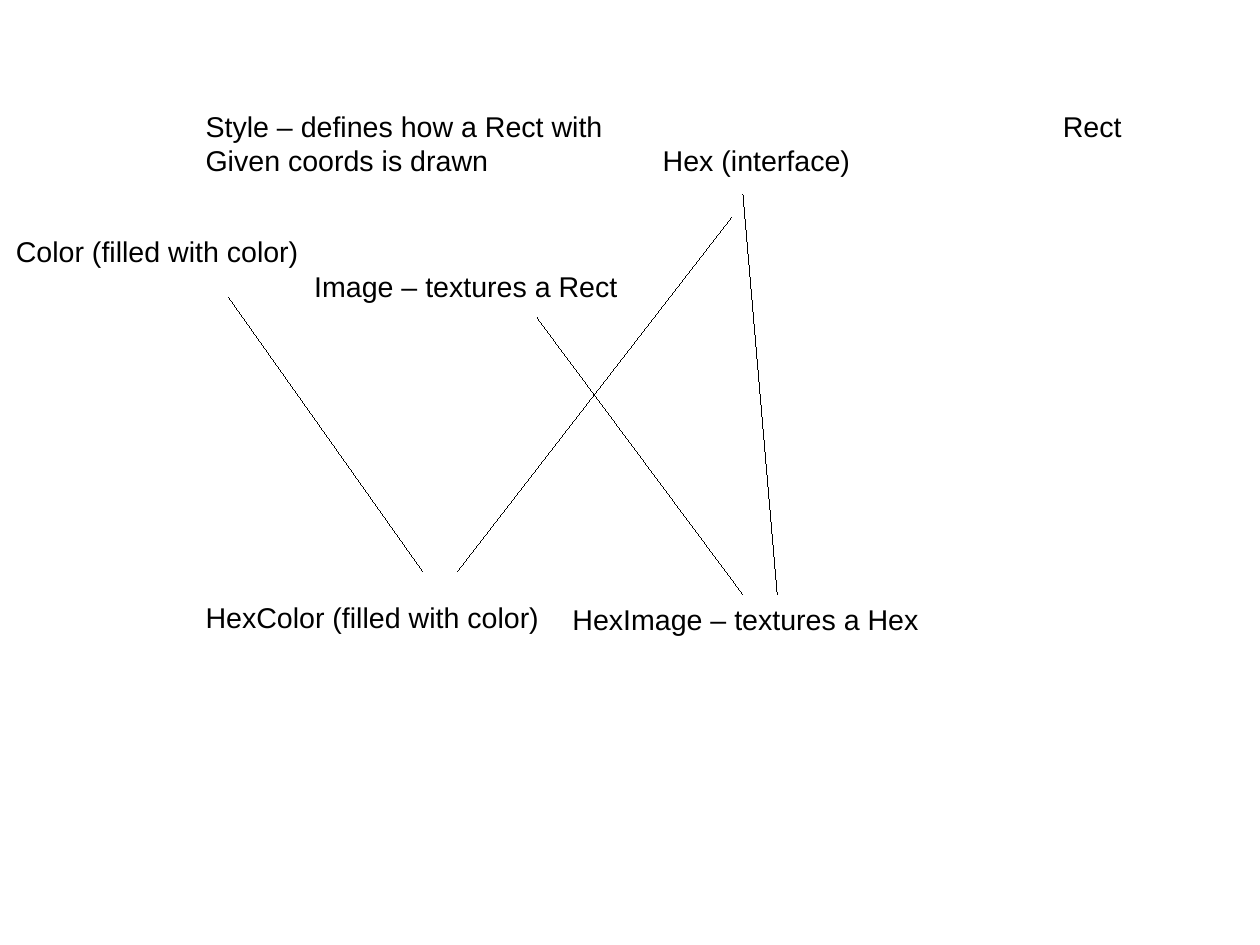
from pptx import Presentation
from pptx.dml.color import RGBColor
from pptx.enum.shapes import MSO_CONNECTOR
from pptx.oxml.ns import qn
from pptx.util import Cm, Inches, Pt
from lxml.etree import SubElement

INK = "000000"
HAIRLINE = Pt(0.01)  # a width of zero would fall back to the theme's line

# Label lines with their box: left, top, width, height
STYLE_LABELS = [
    (["Style – defines how a Rect with", "Given coords is drawn"], (1.7, 0.9, 3.75, 0.66)),
    (["Color (filled with color)"], (0.04, 2, 2.75, 0.38)),
    (["Image – textures a Rect"], (2.65, 2.3, 2.95, 0.48)),
]
SHAPE_LABELS = [
    (["Rect"], (9.2, 0.9, 0.8, 0.38)),
    (["Hex (interface)"], (5.7, 1.2, 1.9, 0.38)),
]
HEX_STYLE_LABELS = [
    (["HexColor (filled with color)"], (1.7, 5.2, 3.2, 0.38)),
    (["HexImage – textures a Hex"], (4.91, 5.22, 3.3, 0.48)),
]

# Inheritance lines: start and end points
INHERITANCE = [
    ((6.5, 1.7), (6.8, 5.2)),    # Hex to HexImage
    ((4.7, 2.78), (6.5, 5.2)),   # Image to HexImage
    ((6.4, 1.9), (4, 5)),        # Hex to HexColor
    ((2, 2.6), (3.7, 5)),        # Color to HexColor
]


def color(hex_string):
    return RGBColor.from_string(hex_string)


def add_label(slide, lines, box):
    label = slide.shapes.add_textbox(*map(Inches, box))
    frame = label.text_frame
    frame.word_wrap = True
    frame.text = "\n".join(lines)
    for paragraph in frame.paragraphs:
        paragraph.font.name = "Arial"
        paragraph.font.size = Pt(18)
        paragraph.font.color.rgb = color(INK)


def add_inheritance(slide, start, end):
    connector = slide.shapes.add_connector(
        MSO_CONNECTOR.STRAIGHT, *map(Inches, start + end))
    connector.line.color.rgb = color(INK)
    connector.line.width = HAIRLINE
    SubElement(connector.element.spPr, qn("a:effectLst"))


def build_class_diagram(slide):
    for lines, box in STYLE_LABELS + SHAPE_LABELS + HEX_STYLE_LABELS:
        add_label(slide, lines, box)
    for start, end in INHERITANCE:
        add_inheritance(slide, start, end)


def main():
    presentation = Presentation()
    presentation.slide_width = Cm(28)
    presentation.slide_height = Cm(21)
    slide = presentation.slides.add_slide(presentation.slide_layouts[6])
    build_class_diagram(slide)
    presentation.save("out.pptx")


if __name__ == "__main__":
    main()
